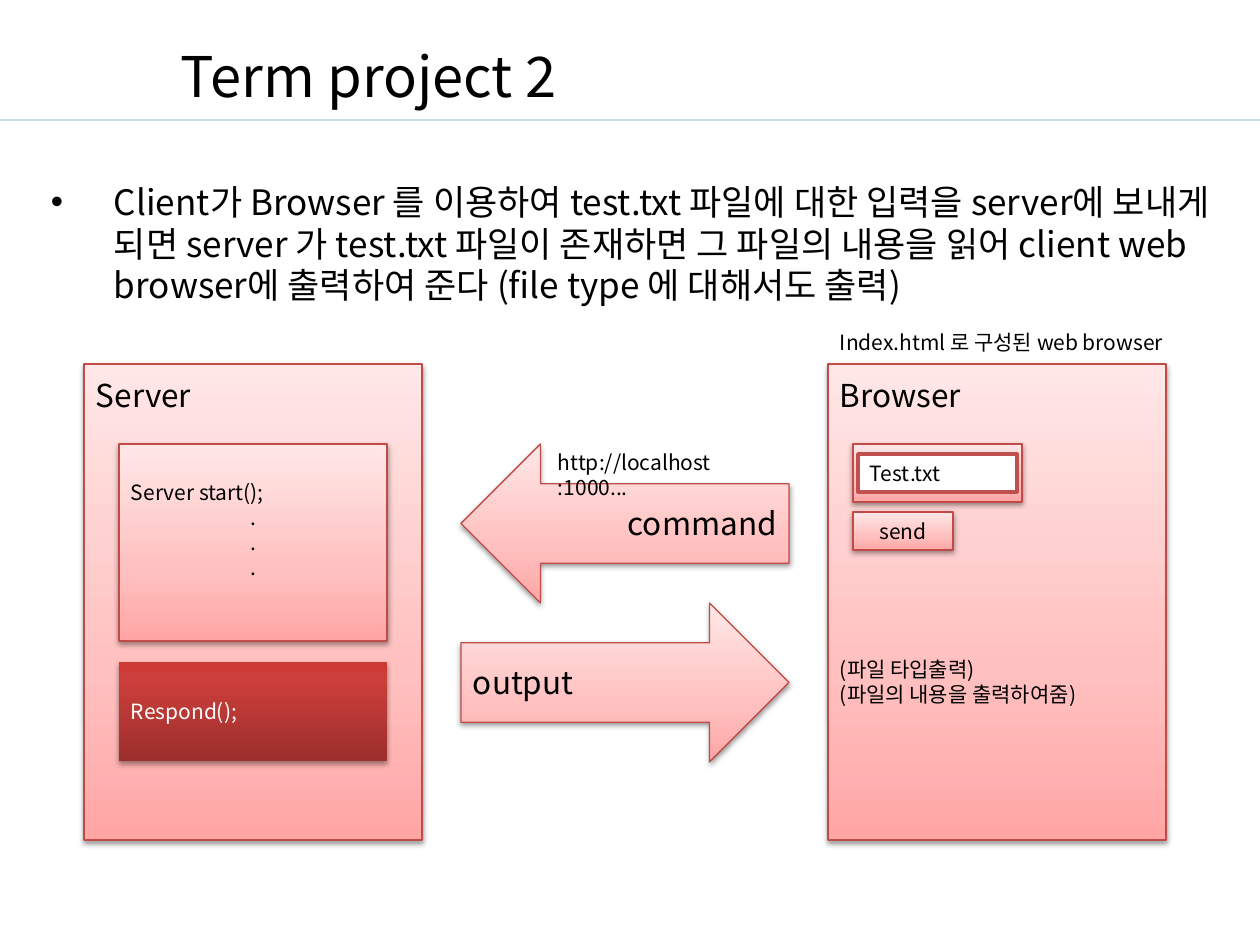
"""Builds the client and server diagram slide of the term project."""
from lxml.etree import SubElement
from pptx import Presentation
from pptx.dml.color import RGBColor
from pptx.enum.shapes import MSO_CONNECTOR as Connector, MSO_SHAPE as Preset
from pptx.enum.text import MSO_ANCHOR as Anchor, PP_ALIGN as Align
from pptx.oxml.ns import qn
from pptx.util import Emu, Pt

SCALE = 914400 // 126
FONT = "Noto Sans CJK KR"
BLACK = RGBColor(0x00, 0x00, 0x00)
WHITE = RGBColor(0xFF, 0xFF, 0xFF)
RULE_BLUE = RGBColor(0x95, 0xB3, 0xD7)
EDGE_RED = RGBColor(0xBF, 0x4C, 0x48)
FIELD_RED = RGBColor(0xC0, 0x50, 0x4D)
PINK = ((0, RGBColor(0xFF, 0xA6, 0xA5)), (35, RGBColor(0xFF, 0xC0, 0xBF)),
        (100, RGBColor(0xFF, 0xE7, 0xE7)))
DARK_RED = ((0, RGBColor(0x9C, 0x2F, 0x2D)), (80, RGBColor(0xCB, 0x3E, 0x3A)),
            (100, RGBColor(0xCE, 0x3B, 0x37)))


def px(length):
    return Emu(length * SCALE)


def apply(target, values):
    for name, value in values.items():
        setattr(target, name, value)


class Board:
    def __init__(self, presentation):
        self.slide = presentation.slides.add_slide(presentation.slide_layouts[6])
        self.line_height = 1.19

    def rule(self, left, right, y):
        line = self.slide.shapes.add_connector(
            Connector.STRAIGHT, px(left), px(y), px(right), px(y))
        line.line.width = Pt(0.75)
        line.line.color.rgb = RULE_BLUE
        properties = line.element.spPr
        color = next(properties.iter(qn("a:srgbClr")))
        SubElement(color, qn("a:alpha"), val="70000")
        SubElement(properties, qn("a:effectLst"))

    def fill_text(self, shape, lines, size, color=BLACK, align=Align.LEFT,
                  anchor=Anchor.TOP, top=6, bottom=6):
        frame = shape.text_frame
        apply(frame, {"word_wrap": True, "vertical_anchor": anchor,
                      "margin_left": px(12), "margin_right": px(12),
                      "margin_top": px(top), "margin_bottom": px(bottom)})
        for index, text in enumerate(lines):
            paragraph = frame.add_paragraph() if index else frame.paragraphs[0]
            apply(paragraph, {"alignment": Align.CENTER if text == "." else align,
                              "line_spacing": Pt(round(size * self.line_height, 1))})
            run = paragraph.add_run()
            run.text = text
            apply(run.font, {"name": FONT, "size": Pt(size)})
            run.font.color.rgb = color
            SubElement(run.font._element, qn("a:ea"), typeface=FONT)

    def text(self, box, lines, size, **style):
        shape = self.slide.shapes.add_textbox(*map(px, box))
        self.fill_text(shape, lines, size, **style)
        return shape

    def bullet(self, box, text, size):
        shape = self.text(box, [text], size)
        properties = shape.text_frame.paragraphs[0]._p.get_or_add_pPr()
        properties.set("marL", str(px(63)))
        properties.set("indent", str(px(-63)))
        SubElement(properties, qn("a:buFont"), typeface="Arial")
        SubElement(properties, qn("a:buChar"), char="•")

    def block(self, box, lines=(), size=12, preset=Preset.RECTANGLE, stops=PINK,
              edge=EDGE_RED, width=0.75, **style):
        shape = self.slide.shapes.add_shape(preset, *map(px, box))
        shape.shadow.inherit = False
        if stops:
            self.shade(shape, stops)
        else:
            shape.fill.solid()
            shape.fill.fore_color.rgb = WHITE
        if edge:
            shape.line.color.rgb = edge
            shape.line.width = Pt(width)
        else:
            shape.line.fill.background()
        self.fill_text(shape, lines, size, **{"anchor": Anchor.MIDDLE, **style})

    def shade(self, shape, stops):
        shape.fill.gradient()
        shape.fill.gradient_angle = 90
        properties = shape.element.spPr
        stop_list = next(properties.iter(qn("a:gsLst")))
        stop_list.clear()
        for position, color in stops:
            stop = SubElement(stop_list, qn("a:gs"), pos=str(position * 1000))
            SubElement(stop, qn("a:srgbClr"), val=str(color))
        shadow = SubElement(properties.find(qn("a:effectLst")), qn("a:outerShdw"),
                            blurRad="40000", dist="20000", dir="5400000",
                            rotWithShape="0")
        shadow_color = SubElement(shadow, qn("a:srgbClr"), val=str(BLACK))
        SubElement(shadow_color, qn("a:alpha"), val="38000")


presentation = Presentation()
apply(presentation, {"slide_width": px(1260), "slide_height": px(945)})
board = Board(presentation)

board.rule(0, 1260, 120)
board.text((169, -14, 1076, 129), ["Term project 2"], 32, anchor=Anchor.BOTTOM)
board.bullet((39, 175, 1221, 139),
             "Client가 Browser 를 이용하여 test.txt 파일에 대한 입력을 server에 "
             "보내게 되면 server 가 test.txt 파일이 존재하면 그 파일의 내용을 읽어 "
             "client web browser에 출력하여 준다 (file type 에 대해서도 출력)", 20)

for left, name in ((84, "Server"), (828, "Browser")):
    board.block((left, 364, 338, 476), [name], 18, anchor=Anchor.TOP, top=12)

board.block((853, 444, 169, 58))
board.block((853, 512, 100, 38), ["send"], align=Align.CENTER)
board.block((858, 454, 159, 38), ["Test.txt"], stops=None, edge=FIELD_RED, width=2)

arrows = ((444, Preset.LEFT_ARROW, "command", Align.RIGHT),
          (603, Preset.RIGHT_ARROW, "output", Align.LEFT))
for top, preset, label, align in arrows:
    board.block((461, top, 328, 159), [label], 18, preset=preset, align=align)

board.text((546, 444, 243, 38), ["http://localhost :1000..."], 12)
board.text((828, 324, 417, 38), ["Index.html 로 구성된 web browser"], 12)
board.block((119, 444, 268, 197), ["Server start();", ".", ".", "."], bottom=31)
board.block((119, 662, 268, 99), ["Respond();"], stops=DARK_RED, edge=None, color=WHITE)
board.text((828, 651, 335, 89), ["(파일 타입출력)", "(파일의 내용을 출력하여줌)"], 12)

presentation.save("out.pptx")
